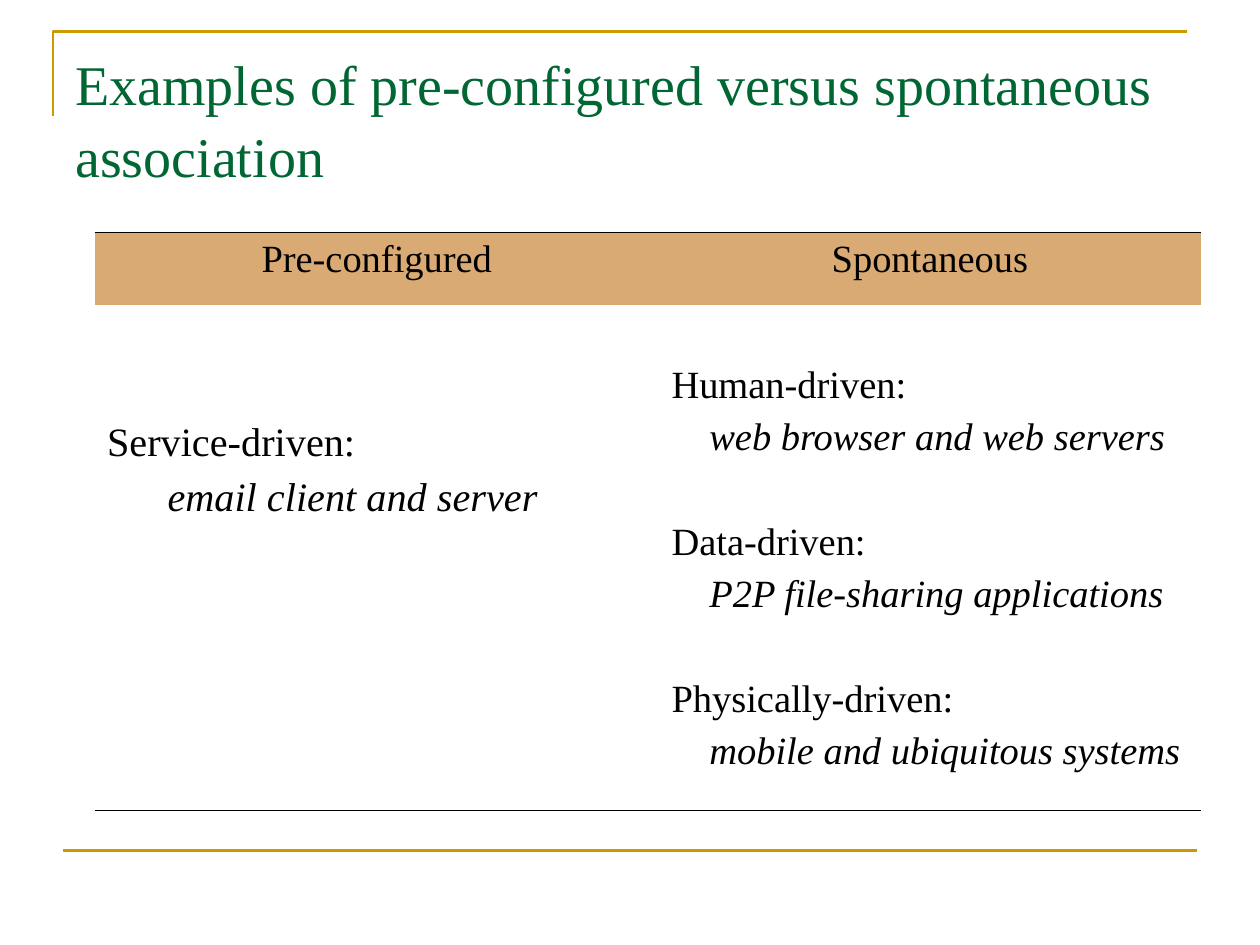
"""Build the slide comparing pre-configured and spontaneous association."""
import pptx
import pptx.dml.color
import pptx.enum.shapes
import pptx.enum.text
import pptx.oxml
import pptx.oxml.ns
import pptx.util

COLORS = {"title": "006633", "rule": "CC9900", "header": "D9AA73", "text": "000000"}
NO_TABLE_STYLE = "{2D5ABB26-0587-4C30-8999-92F81FD0307C}"
NAMESPACE = pptx.oxml.ns.nsdecls("a")
Inches = pptx.util.Inches
Pt = pptx.util.Pt


def rgb(name):
    return pptx.dml.color.RGBColor.from_string(COLORS[name])


def write(frame, text, size, color="text", italic=False, centered=False,
          before=0, indent=0, spacing=1.0):
    paragraph = frame.paragraphs[0]
    if paragraph.runs:
        paragraph = frame.add_paragraph()
    paragraph.alignment = (pptx.enum.text.PP_ALIGN.CENTER if centered
                           else pptx.enum.text.PP_ALIGN.LEFT)
    paragraph.space_before = Pt(before)
    paragraph.line_spacing = spacing
    paragraph.font.size = Pt(size)
    if indent:
        paragraph._p.get_or_add_pPr().set("marL", str(Inches(indent)))
    run = paragraph.add_run()
    run.text = text
    run.font.name = "Times New Roman"
    run.font.size = Pt(size)
    run.font.italic = italic
    run.font.color.rgb = rgb(color)


presentation = pptx.Presentation()
presentation.slide_width = Inches(10)
presentation.slide_height = Inches(7.5)
width, height = presentation.slide_width, presentation.slide_height
slide = presentation.slides.add_slide(presentation.slide_layouts[6])

builder = slide.shapes.build_freeform(Inches(0.42), Inches(0.92))
builder.add_line_segments(
    [(Inches(0.42), Inches(0.25)), (Inches(9.42), Inches(0.25))], close=False)
corner = builder.convert_to_shape()
corner.shadow.inherit = False
corner.fill.background()

footer_rule = slide.shapes.add_connector(
    pptx.enum.shapes.MSO_CONNECTOR.STRAIGHT,
    int(width * 0.05), int(height * 0.9), int(width * 0.95), int(height * 0.9))
footer_rule._element.spPr.append(pptx.oxml.parse_xml(f"<a:effectLst {NAMESPACE}/>"))
for shape in (corner, footer_rule):
    shape.line.color.rgb = rgb("rule")
    shape.line.width = Pt(1.5)

title = slide.shapes.add_textbox(
    int(width * 0.05), int(height * 0.04), int(width * 0.9), Inches(1.16))
title.text_frame.word_wrap = True
title.text_frame.vertical_anchor = pptx.enum.text.MSO_ANCHOR.TOP
write(title.text_frame, "Examples of pre-configured versus spontaneous association",
      32, color="title", spacing=1.08)

columns = [
    {"heading": "Pre-configured", "width": 4.48, "size": 23, "top": 0.92, "indent": 0.48,
     "examples": [("Service-driven:", "email client and server")]},
    {"heading": "Spontaneous", "width": 4.3, "size": 22, "top": 0.47, "indent": 0.3,
     "examples": [("Human-driven:", "web browser and web servers"),
                  ("Data-driven:", "P2P file-sharing applications"),
                  ("Physically-driven:", "mobile and ubiquitous systems")]},
]
frame = slide.shapes.add_table(
    2, len(columns), Inches(0.75), Inches(1.84), Inches(8.78), Inches(4.59))
table = frame.table
table.horz_banding = False
table.first_row = False
table._tbl.tblPr.find(pptx.oxml.ns.qn("a:tableStyleId")).text = NO_TABLE_STYLE
table.rows[0].height = Inches(0.58)
table.rows[1].height = Inches(4.01)

for number, column in enumerate(columns):
    table.columns[number].width = Inches(column["width"])
    header, body = table.cell(0, number), table.cell(1, number)
    header.fill.solid()
    header.fill.fore_color.rgb = rgb("header")
    body.fill.background()
    body.margin_top = Inches(column["top"])
    write(header.text_frame, column["heading"], 22, centered=True)
    size = column["size"]
    for position, (kind, example) in enumerate(column["examples"]):
        write(body.text_frame, kind, size, before=35.5 if position else 0)
        write(body.text_frame, example, size, italic=True,
              before=size / 4, indent=column["indent"])
    for cell, edge in ((header, "lnT"), (body, "lnB")):
        cell._tc.get_or_add_tcPr().insert(0, pptx.oxml.parse_xml(
            f'<a:{edge} {NAMESPACE} w="{Pt(0.45)}"><a:solidFill>'
            f'<a:srgbClr val="{COLORS["text"]}"/></a:solidFill></a:{edge}>'))

presentation.save("out.pptx")
